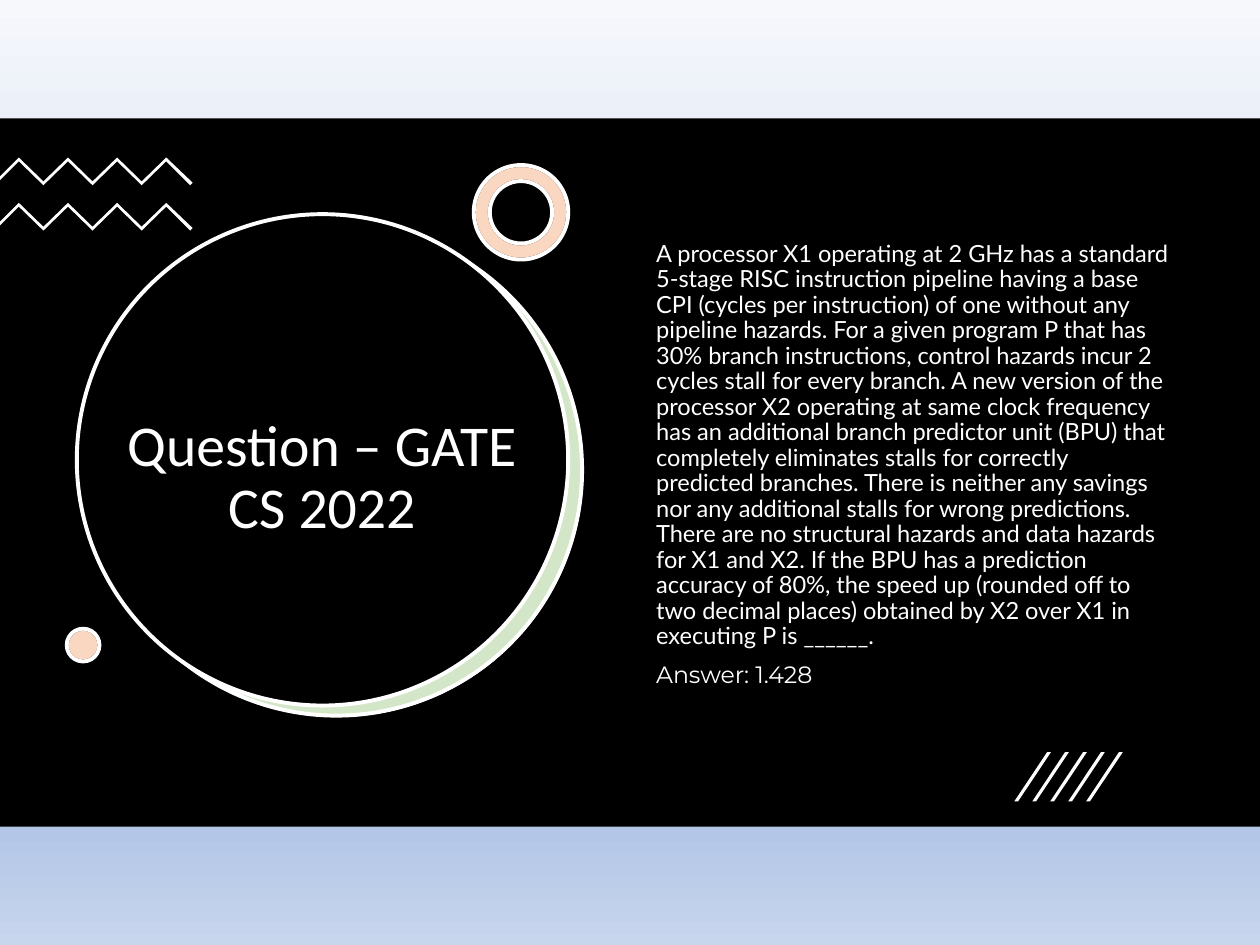
from copy import deepcopy

from lxml import etree
from pptx import Presentation
from pptx import util as u
from pptx.dml.color import RGBColor
from pptx.enum import shapes, text
from pptx.oxml.ns import qn

THEME = {
    "white": "FFFFFF", "black": "000000", "green": "70AD47", "orange": "ED7D31",
    "backdrop": [(0, "F6F8FC"), (0.74, "ABC0E4"), (0.83, "ABC0E4"), (1, "C7D5ED")],
    "title": {"name": "Calibri", "size": u.Pt(33)},
    "body": {"name": "Lato", "size": u.Pt(13.5)},
    "answer": {"name": "Montserrat", "size": u.Pt(13.5)},
    "outline": u.Pt(2.25), "tint": 30,
}

TITLE = "Question – GATE CS 2022"
QUESTION = (
    "A processor X1 operating at 2 GHz has a standard 5-stage RISC instruction pipeline "
    "having a base CPI (cycles per instruction) of one without any pipeline hazards. "
    "For a given program P that has 30% branch instructions, control hazards incur 2 cycles "
    "stall for every branch. A new version of the processor X2 operating at same clock "
    "frequency has an additional branch predictor unit (BPU) that completely eliminates "
    "stalls for correctly predicted branches. There is neither any savings nor any additional "
    "stalls for wrong predictions. There are no structural hazards and data hazards for X1 "
    "and X2. If the BPU has a prediction accuracy of 80%, the speed up (rounded off to two "
    "decimal places) obtained by X2 over X1 in executing P is ______."
)
ANSWER = "Answer: 1.428"

PANEL = (0, 0.94, 10, 5.62)
TITLE_BOX = (0.9, 2.48, 3.31, 2.64)
BODY_BOX = (5.11, 1.87, 4.28, 3.57)
CIRCLES = [
    ((0.73, 1.79, 3.9, 3.9), "white", None, False),
    ((0.72, 1.78, 3.9, 3.9), "green", "white", True),
    ((0.61, 1.7, 3.9, 3.9), "black", "white", False),
]
RING = (3.76, 1.31, 0.75, 0.75)
DOT = (0.53, 4.99, 0.26, 0.26)
ACCENT_LAYERS = [("white", "black", False), ("orange", "white", True)]
ZIGZAG_TOPS = [1.25, 1.61]
SLASH_COUNT, SLASH_LEFT, SLASH_STEP = 5, 8.05, 0.1425
SLASH_TOP, SLASH_BOTTOM = 5.97, 6.36


def color(name):
    return RGBColor.from_string(THEME[name])


def paint(shape, fill, line=None, tinted=False):
    shape.shadow.inherit = False
    shape.fill.solid()
    shape.fill.fore_color.rgb = color(fill)
    if tinted:
        swatch = shape.fill._xPr.find(qn("a:solidFill"))[0]
        etree.SubElement(swatch, qn("a:alpha"), val=str(THEME["tint"] * 1000))
    if line:
        shape.line.color.rgb = color(line)
        shape.line.width = THEME["outline"]
    else:
        shape.line.fill.background()


def add_preset(slide, kind, box, *style):
    shape = slide.shapes.add_shape(kind, *map(u.Inches, box))
    paint(shape, *style)
    return shape


def add_outline(slide, points):
    start, *rest = [(u.Inches(x), u.Inches(y)) for x, y in points]
    builder = slide.shapes.build_freeform(*start)
    builder.add_line_segments(rest, close=True)
    paint(builder.convert_to_shape(), "white")


def add_zigzag(slide, top):
    upper = [(0.15 + 0.195 * i, top + 0.19 * (i % 2)) for i in range(7)]
    lower = [(x, y + 0.03) for x, y in reversed(upper)]
    right_end = [(1.53, top + 0.2), (1.51, top + 0.22)]
    left_end = [(0, top + 0.18), (0, top + 0.15)]
    add_outline(slide, upper + right_end + lower + left_end)


def add_text(slide, box, paragraphs, anchor, alignment):
    frame = slide.shapes.add_textbox(*map(u.Inches, box)).text_frame
    for name, value in {"word_wrap": True, "vertical_anchor": anchor}.items():
        setattr(frame, name, value)
    for index, (content, style) in enumerate(paragraphs):
        paragraph = frame.add_paragraph() if index else frame.paragraphs[0]
        layout = {"alignment": alignment, "line_spacing": 0.9,
                  "space_before": u.Pt(7.5 if index else 0)}
        for name, value in layout.items():
            setattr(paragraph, name, value)
        run = paragraph.add_run()
        run.text = content
        for name, value in THEME[style].items():
            setattr(run.font, name, value)
        run.font.color.rgb = color("white")


def fill_background(slide):
    fill = slide.background.fill
    fill.gradient()
    fill.gradient_angle = 270
    stop_list = fill._fill._gradFill.find(qn("a:gsLst"))
    while len(stop_list) < len(THEME["backdrop"]):
        stop_list.append(deepcopy(stop_list[0]))
    for stop, (position, rgb) in zip(fill.gradient_stops, THEME["backdrop"]):
        stop.position = position
        stop.color.rgb = RGBColor.from_string(rgb)


def main():
    presentation = Presentation()
    presentation.slide_width, presentation.slide_height = u.Inches(10), u.Inches(7.5)
    slide = presentation.slides.add_slide(presentation.slide_layouts[6])
    kinds = shapes.MSO_SHAPE
    fill_background(slide)
    add_preset(slide, kinds.RECTANGLE, PANEL, "black")
    for box, *style in CIRCLES:
        add_preset(slide, kinds.OVAL, box, *style)
    add_text(slide, TITLE_BOX, [(TITLE, "title")],
             text.MSO_ANCHOR.MIDDLE, text.PP_ALIGN.CENTER)
    for top in ZIGZAG_TOPS:
        add_zigzag(slide, top)
    for style in ACCENT_LAYERS:
        ring = add_preset(slide, kinds.DONUT, RING, *style)
        ring.adjustments[0] = 0.17
    for style in ACCENT_LAYERS:
        add_preset(slide, kinds.OVAL, DOT, *style)
    add_text(slide, BODY_BOX, [(QUESTION, "body"), (ANSWER, "answer")],
             text.MSO_ANCHOR.TOP, text.PP_ALIGN.LEFT)
    for index in range(SLASH_COUNT):
        left = SLASH_LEFT + index * SLASH_STEP
        add_outline(slide, [(left + 0.03, SLASH_BOTTOM), (left, SLASH_BOTTOM),
                            (left + 0.26, SLASH_TOP), (left + 0.29, SLASH_TOP)])
    presentation.save("out.pptx")


if __name__ == "__main__":
    main()
